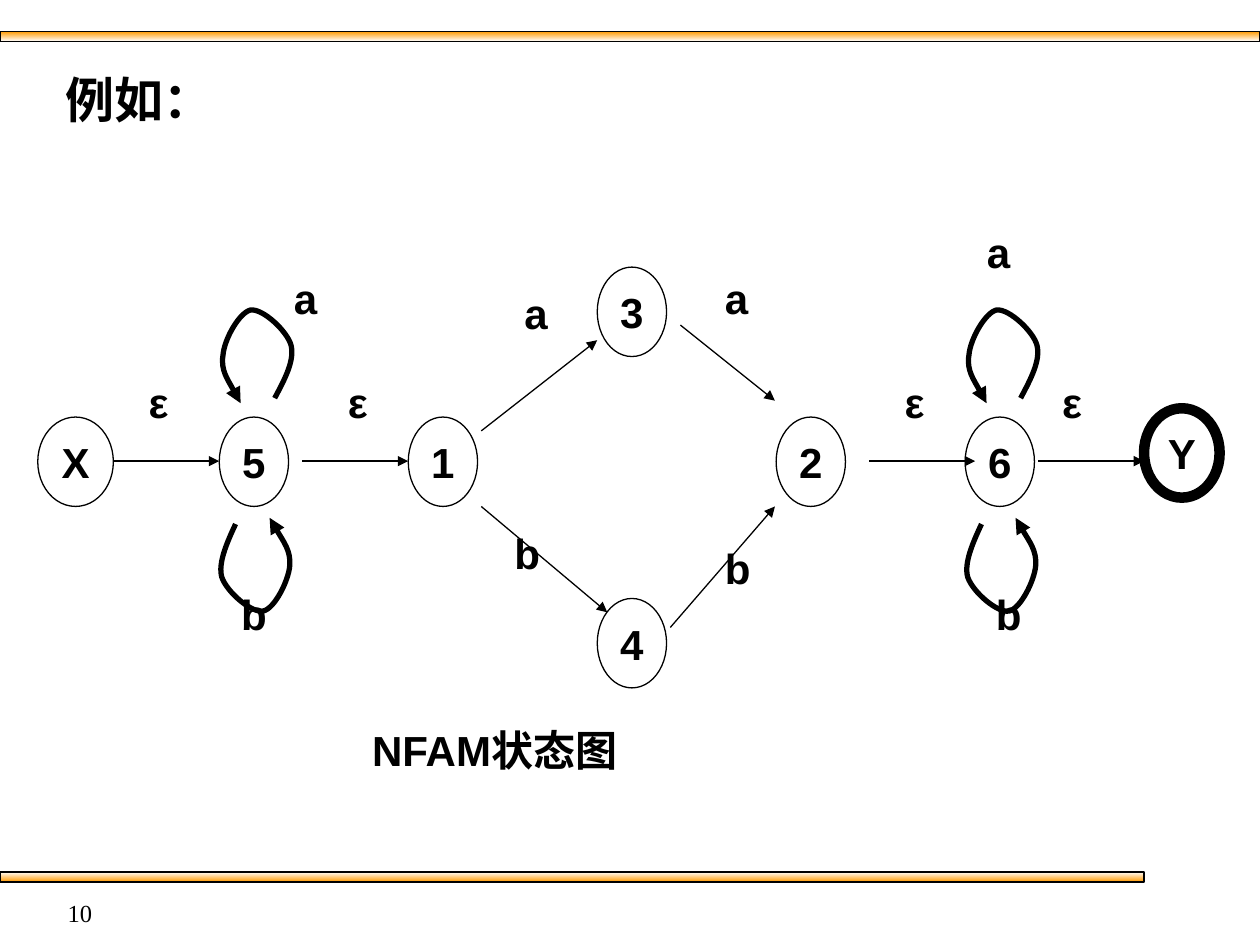
from lxml import etree
from pptx import Presentation
from pptx import util as u
from pptx.dml.color import RGBColor
from pptx.enum import shapes, text
from pptx.oxml.ns import qn

I = u.Inches


def rgb(value):
    return RGBColor.from_string(value)


class Diagram:
    """Style and current slide of the state diagram."""
    ink, accent, paper = "000000", "FF9900", "FFFFFF"
    sans, serif = "Arial", "Times New Roman"
    thin, loop_width, final_width = 0.75, 3, 6

    def __init__(self, slide):
        self.s = slide

    def outline(self, sp, width):
        sp.line.color.rgb = rgb(self.ink)
        sp.line.width = u.Pt(width)

    def arrowhead(self, sp):
        ln = sp.line._get_or_add_ln()
        etree.SubElement(ln, qn("a:tailEnd"), type="triangle")

    def set_text(self, sp, words, size=24, font=sans, bold=True,
                 align=text.PP_ALIGN.CENTER, wrap=False):
        tf = sp.text_frame
        tf.text = words
        tf.word_wrap = wrap
        p = tf.paragraphs[0]
        p.alignment = align
        r = p.runs[0]
        r.font.size, r.font.name, r.font.bold = u.Pt(size), font, bold
        r.font.color.rgb = rgb(self.ink)

    def label(self, words, x, y, w, h=0.5, **style):
        sp = self.s.shapes.add_textbox(I(x), I(y), I(w), I(h))
        self.set_text(sp, words, **style)

    def shape(self, kind, x, y, w, h, width):
        sp = self.s.shapes.add_shape(kind, I(x), I(y), I(w), I(h))
        sp.shadow.inherit = False
        self.outline(sp, width)
        return sp

    def bar(self, y, w, colours):
        sp = self.shape(shapes.MSO_SHAPE.RECTANGLE, 0, y, w, 0.08, self.thin)
        sp.fill.gradient()
        sp.fill.gradient_angle = 270
        for stop, colour in zip(sp.fill.gradient_stops, colours):
            stop.color.rgb = rgb(colour)

    def state(self, name, x, y, w=0.55, width=thin):
        sp = self.shape(shapes.MSO_SHAPE.OVAL, x, y, w, 0.71, width)
        sp.fill.background()
        self.set_text(sp, name)
        sp.text_frame.vertical_anchor = text.MSO_ANCHOR.MIDDLE

    def arrow(self, x1, y1, x2, y2):
        line = self.s.shapes.add_connector(
            shapes.MSO_CONNECTOR.STRAIGHT, I(x1), I(y1), I(x2), I(y2))
        self.outline(line, self.thin)
        self.arrowhead(line)
        etree.SubElement(line._element.spPr, qn("a:effectLst"))

    def loop(self, points, dx):
        """Curved arrow: a start point, then three points per Bezier segment."""
        pts = [(I(x + dx), I(y)) for x, y in points]
        builder = self.s.shapes.build_freeform(*pts[0])
        builder.add_line_segments(pts[1:], close=False)
        sp = builder.convert_to_shape()
        lines = list(sp._element.iter(qn("a:lnTo")))
        for i in range(0, len(lines), 3):
            curve = etree.Element(qn("a:cubicBezTo"))
            lines[i].addprevious(curve)
            for line in lines[i:i + 3]:
                curve.append(line[0])
                line.getparent().remove(line)
        sp.shadow.inherit = False
        sp.fill.background()
        self.outline(sp, self.loop_width)
        self.arrowhead(sp)


def main():
    prs = Presentation()
    prs.slide_width, prs.slide_height = I(10), I(7.5)
    d = Diagram(prs.slides.add_slide(prs.slide_layouts[6]))

    # Frame bars
    d.bar(0.25, 10, (d.accent, d.paper))
    d.bar(6.92, 9.08, (d.paper, d.accent))

    # States
    row = 3.31
    d.state("X", 0.3, row, w=0.6)
    d.state("Y", 9.08, 3.24, w=0.6, width=d.final_width)
    for name, x, y in (("5", 1.74, row), ("1", 3.24, row), ("3", 4.74, 2.12),
                       ("2", 6.16, row), ("6", 7.66, row), ("4", 4.74, 4.75)):
        d.state(name, x, y)

    # Straight transitions
    for x in (0.9, 2.4, 6.9, 8.24):
        d.arrow(x, 3.66, x + 0.84, 3.66)
    for ends in ((3.82, 3.42, 4.74, 2.7), (3.82, 4.02, 4.82, 4.86),
                 (5.4, 2.58, 6.15, 3.18), (5.32, 4.98, 6.15, 4.02)):
        d.arrow(*ends)

    # Loops on states 5 and 6
    upper = ((2.18, 3.16), (2.26, 3.01), (2.34, 2.86), (2.31, 2.74),
             (2.28, 2.63), (2.09, 2.45), (1.99, 2.46),
             (1.9, 2.48), (1.78, 2.69), (1.77, 2.82),
             (1.75, 2.94), (1.88, 3.14), (1.91, 3.2))
    lower = ((1.87, 4.16), (1.8, 4.31), (1.73, 4.47), (1.76, 4.58),
             (1.8, 4.7), (2, 4.87), (2.09, 4.85),
             (2.18, 4.83), (2.29, 4.61), (2.3, 4.49),
             (2.31, 4.37), (2.17, 4.17), (2.14, 4.11))
    for dx in (0, 5.92):
        d.loop(upper, dx)
        d.loop(lower, dx)

    # Transition labels
    for symbol, w, places in (
            ("a", 0.39, ((2.23, 2.11), (4.06, 2.23), (5.65, 2.11), (7.73, 1.75))),
            ("b", 0.41, ((7.8, 4.62), (5.65, 4.26), (3.98, 4.14), (1.81, 4.62))),
            ("ε", 0.36, ((1.08, 2.94), (2.66, 2.94), (7.08, 2.94), (8.33, 2.94)))):
        for x, y in places:
            d.label(symbol, x, y, w)

    # Caption, heading and page number
    d.label("NFAM状态图", 2.8, 5.7, 2.25)
    d.label("例如：", 0.42, 0.5, 1.36, 0.57, size=28, font=d.serif,
            align=text.PP_ALIGN.LEFT)
    d.label("10", 0, 7.08, 0.83, 0.25, size=14, font=d.serif, bold=False,
            align=text.PP_ALIGN.RIGHT, wrap=True)

    prs.save("out.pptx")


if __name__ == "__main__":
    main()
